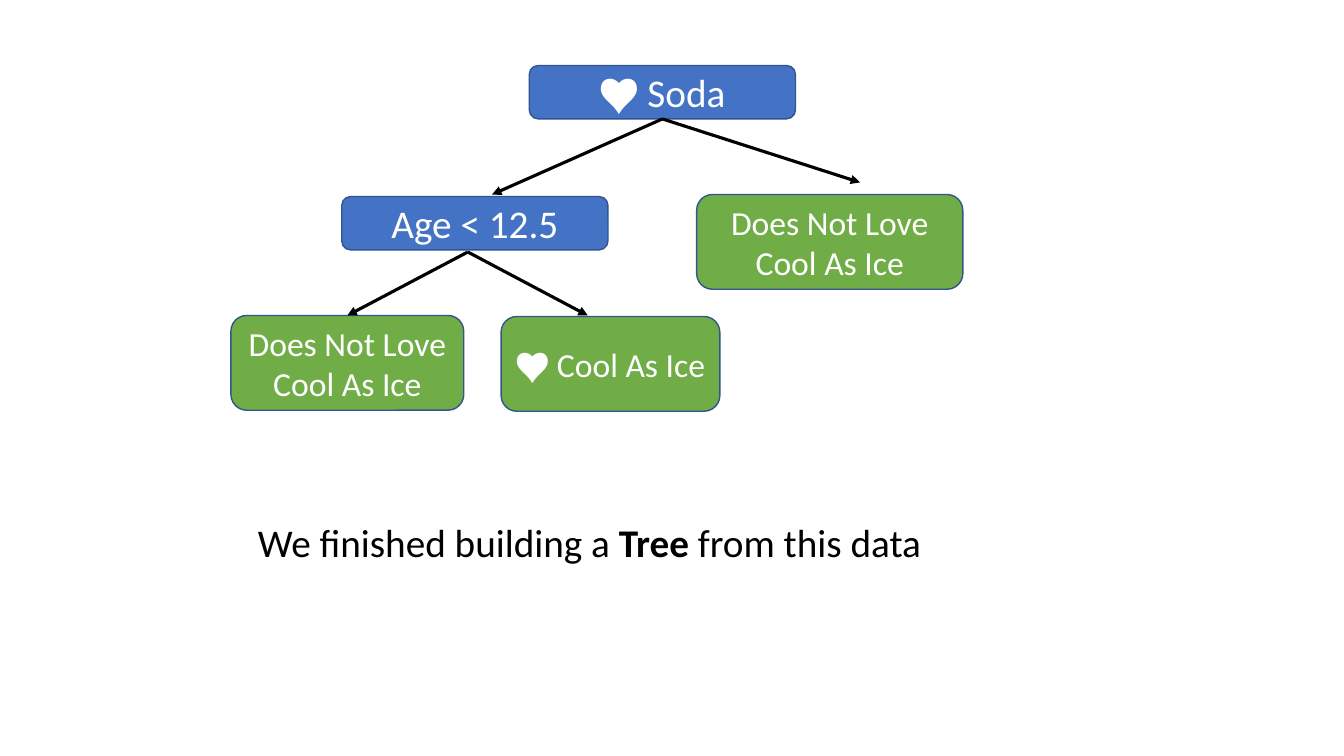
import pptx
import pptx.dml.color
import pptx.enum.shapes
import pptx.enum.text
import pptx.oxml.ns
import pptx.util
from dataclasses import dataclass
from lxml import etree

Inches = pptx.util.Inches
Pt = pptx.util.Pt
RGB = pptx.dml.color.RGBColor.from_string


@dataclass(frozen=True)
class Theme:
    font: str = "Calibri"
    question: str = "4472C4"
    leaf: str = "70AD47"
    outline: str = "325491"
    light: str = "FFFFFF"
    dark: str = "000000"
    large: int = 28
    medium: int = 24
    outline_width: float = 1
    arrow_width: float = 2.25


THEME = Theme()


def set_attrs(obj, values):
    for name, value in values.items():
        setattr(obj, name, value)


def add_run(p, text, size, color, bold=False):
    r = p.add_run()
    r.text = text
    set_attrs(r.font, {"name": THEME.font, "size": Pt(size), "bold": bold})
    r.font.color.rgb = RGB(color)


def add_node(s, text, box, fill, size):
    sp = s.shapes.add_shape(
        pptx.enum.shapes.MSO_SHAPE.ROUNDED_RECTANGLE, *map(Inches, box))
    sp.shadow.inherit = False
    sp.fill.solid()
    sp.fill.fore_color.rgb = RGB(fill)
    sp.line.color.rgb = RGB(THEME.outline)
    sp.line.width = Pt(THEME.outline_width)
    tf = sp.text_frame
    set_attrs(tf, {"word_wrap": True,
                   "vertical_anchor": pptx.enum.text.MSO_ANCHOR.MIDDLE})
    p = tf.paragraphs[0]
    p.alignment = pptx.enum.text.PP_ALIGN.CENTER
    add_run(p, text, size, THEME.light)
    return sp


def add_question(s, text, left, top):
    return add_node(s, text, (left, top, 2.64, 0.53), THEME.question, THEME.large)


def add_leaf(s, text, left, top, width):
    return add_node(s, text, (left, top, width, 0.94), THEME.leaf, THEME.medium)


def add_arrow(s, start, end):
    cn = s.shapes.add_connector(
        pptx.enum.shapes.MSO_CONNECTOR.STRAIGHT, *map(Inches, start + end))
    cn.line.color.rgb = RGB(THEME.dark)
    cn.line.width = Pt(THEME.arrow_width)
    qn = pptx.oxml.ns.qn
    etree.SubElement(cn.line._get_or_add_ln(), qn("a:tailEnd"), type="triangle")
    etree.SubElement(cn._element.spPr, qn("a:effectLst"))
    return cn


def add_caption(s, box, runs):
    tf = s.shapes.add_textbox(*map(Inches, box)).text_frame
    set_attrs(tf, {"word_wrap": True,
                   "auto_size": pptx.enum.text.MSO_AUTO_SIZE.SHAPE_TO_FIT_TEXT})
    for text, bold in runs:
        add_run(tf.paragraphs[0], text, THEME.large, THEME.dark, bold)


def main():
    prs = pptx.Presentation()
    set_attrs(prs, {"slide_width": Inches(13.33), "slide_height": Inches(7.5)})
    s = prs.slides.add_slide(prs.slide_layouts[6])

    soda = add_question(s, "♥︎ Soda", 5.25, 0.65)
    for end in ((4.88, 1.93), (8.53, 1.81)):
        add_arrow(s, (6.57, 1.18), end).begin_connect(soda, 2)

    add_leaf(s, "Does Not Love Cool As Ice", 6.91, 1.93, 2.64)
    not_love = add_leaf(s, "Does Not Love Cool As Ice", 2.29, 3.13, 2.31)
    add_leaf(s, "♥︎ Cool As Ice", 4.97, 3.14, 2.17)

    age_split = (4.64, 2.5)
    add_arrow(s, age_split, (3.44, 3.13)).end_connect(not_love, 0)
    add_arrow(s, age_split, (5.83, 3.13))
    add_question(s, "Age < 12.5", 3.39, 1.95)

    add_caption(s, (2.46, 5.09, 8.41, 0.57), (
        ("We finished building a ", False),
        ("Tree", True),
        (" from this data", False),
    ))
    prs.save("out.pptx")


if __name__ == "__main__":
    main()
